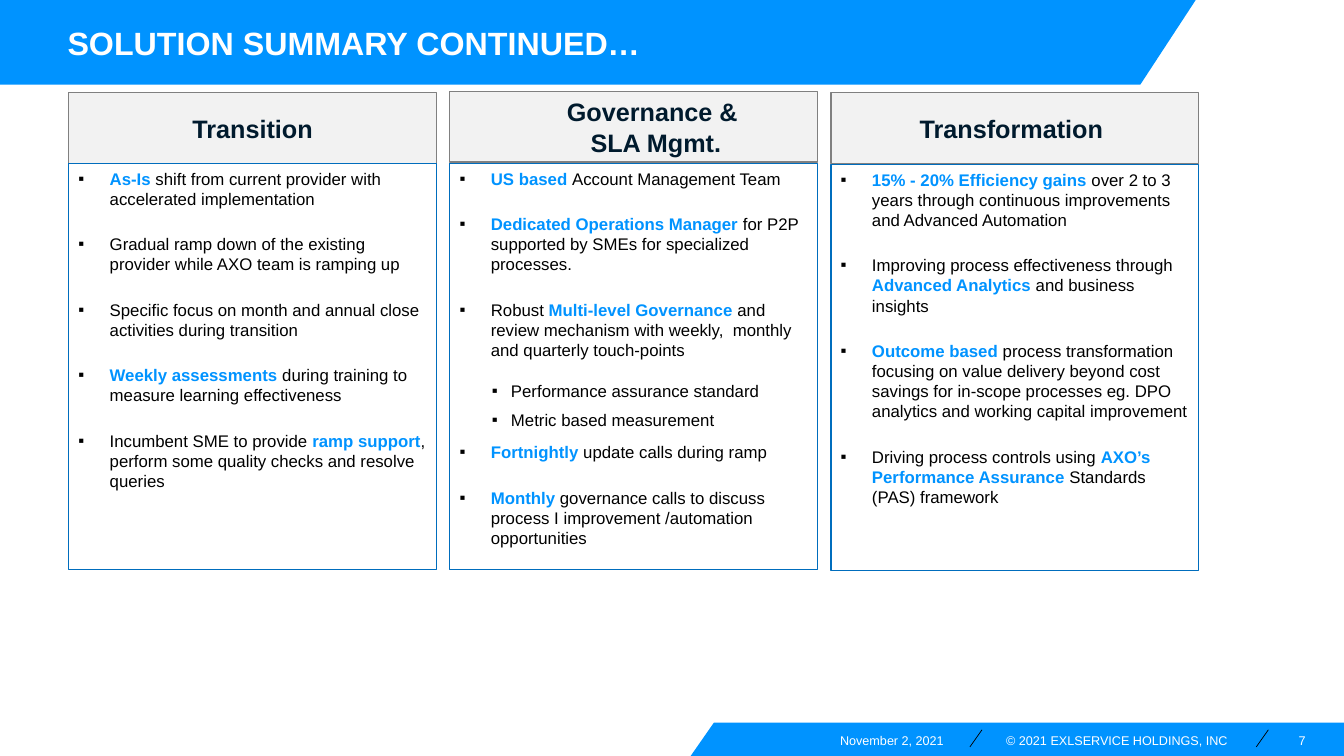
from lxml.etree import SubElement
from pptx import Presentation
from pptx.dml.color import RGBColor
from pptx.enum.shapes import MSO_CONNECTOR, MSO_SHAPE
from pptx.enum.text import MSO_ANCHOR, PP_ALIGN
from pptx.oxml.ns import qn
from pptx.util import Inches, Pt

BLUE = RGBColor(0x00, 0x93, 0xFF)
EDGE_BLUE = RGBColor(0x00, 0x6D, 0xBD)
NAVY = RGBColor(0x00, 0x1A, 0x2D)
GRAY = RGBColor(0x80, 0x80, 0x80)
PALE = RGBColor(0xF2, 0xF2, 0xF2)
WHITE = RGBColor(0xFF, 0xFF, 0xFF)
BLACK = RGBColor(0, 0, 0)

WIDTH, HEIGHT = 13.33, 7.5
TITLE = "SOLUTION SUMMARY CONTINUED…"
TITLE_BAND = [(0, 0), (11.86, 0), (11.31, 0.84), (0, 0.84)]
FOOTER_BAND = [(7.08, 7.17), (WIDTH, 7.17), (WIDTH, HEIGHT), (6.85, HEIGHT)]
FOOTERS = [
    ("November 2, 2021", 7.09, 2.27, PP_ALIGN.RIGHT),
    ("7", 12.58, 0.37, PP_ALIGN.RIGHT),
    ("© 2021 EXLSERVICE HOLDINGS, INC", 9.98, 2.27, PP_ALIGN.LEFT),
]
SLASHES = [9.62, 12.46]

# Text between asterisks is emphasised; a leading ">" marks a second-level bullet.
COLUMNS = [
    (["Transition"], 0.92, 1.62, [
        "*As-Is *shift from current provider with accelerated implementation",
        "Gradual ramp down of the existing provider while AXO team is ramping up",
        "Specific focus on month and annual close activities during transition",
        "*Weekly assessments *during training to measure learning effectiveness",
        "Incumbent SME to provide *ramp support*, perform some quality checks and resolve queries",
    ]),
    (["Governance & ", "SLA Mgmt."], 0.91, 1.62, [
        "*US based *Account Management Team",
        "*Dedicated Operations Manager *for P2P supported by SMEs for specialized processes.",
        "Robust *Multi-level Governance *and review mechanism with weekly,  monthly and quarterly touch-points",
        ">Performance assurance standard",
        ">Metric based measurement",
        "*Fortnightly *update calls during ramp",
        "*Monthly *governance calls to discuss process I improvement /automation opportunities",
    ]),
    (["Transformation "], 0.92, 1.63, [
        "*15% - 20% Efficiency gains *over 2 to 3 years through continuous improvements and Advanced Automation",
        "Improving process effectiveness through *Advanced Analytics *and business insights",
        "*Outcome based *process transformation focusing on value delivery beyond cost savings "
        "for in-scope processes eg. DPO analytics and working capital improvement",
        "Driving process controls using *AXO’s Performance Assurance *Standards (PAS) framework",
    ]),
]
COLUMN_LEFT, COLUMN_PITCH, COLUMN_WIDTH = 0.68, 3.78, 3.65
HEADER_HEIGHT, BODY_HEIGHT = 0.7, 4.03


def add_span(para, text, size, color, bold=False):
    span = para.add_run()
    span.text = text
    span.font.name = "Arial"
    span.font.size = Pt(size)
    span.font.bold = bold
    span.font.color.rgb = color


def set_indent(para, left, first):
    properties = para._p.get_or_add_pPr()
    properties.set("marL", str(Inches(left)))
    properties.set("indent", str(Inches(first)))
    return properties


def add_bullet(para, left, first):
    properties = set_indent(para, left, first)
    color = SubElement(properties, qn("a:buClr"))
    SubElement(color, qn("a:srgbClr")).set("val", str(BLACK))
    SubElement(properties, qn("a:buFont")).set("typeface", "Arial")
    SubElement(properties, qn("a:buChar")).set("char", "▪")


def next_para(frame, index):
    return frame.add_paragraph() if index else frame.paragraphs[0]


def add_band(page, points):
    corners = [(Inches(x), Inches(y)) for x, y in points]
    builder = page.shapes.build_freeform(*corners[0])
    builder.add_line_segments(corners[1:], close=True)
    band = builder.convert_to_shape()
    band.shadow.inherit = False
    band.fill.solid()
    band.fill.fore_color.rgb = BLUE
    band.line.fill.background()


def add_slash(page, left):
    slash = page.shapes.add_connector(
        MSO_CONNECTOR.STRAIGHT, Inches(left + 0.12), Inches(7.24), Inches(left), Inches(7.41))
    slash.line.color.rgb = BLACK
    slash.line.width = Pt(0.5)
    SubElement(slash._element.spPr, qn("a:effectLst"))


def add_label(page, text, left, top, width, height, size, align=PP_ALIGN.LEFT, bold=False):
    box = page.shapes.add_textbox(Inches(left), Inches(top), Inches(width), Inches(height))
    frame = box.text_frame
    frame.word_wrap = True
    frame.vertical_anchor = MSO_ANCHOR.MIDDLE
    frame.margin_left = frame.margin_right = frame.margin_top = frame.margin_bottom = 0
    frame.paragraphs[0].alignment = align
    add_span(frame.paragraphs[0], text, size, WHITE, bold)


def add_panel(page, left, top, height, edge, anchor):
    panel = page.shapes.add_shape(
        MSO_SHAPE.RECTANGLE, Inches(left), Inches(top), Inches(COLUMN_WIDTH), Inches(height))
    panel.shadow.inherit = False
    panel.fill.background()
    panel.line.color.rgb = edge
    panel.line.width = Pt(1)
    panel.text_frame.word_wrap = True
    panel.text_frame.vertical_anchor = anchor
    return panel


def add_header(page, lines, left, top):
    header = add_panel(page, left, top, HEADER_HEIGHT, GRAY, MSO_ANCHOR.MIDDLE)
    header.fill.solid()
    header.fill.fore_color.rgb = PALE
    for index, line in enumerate(lines):
        para = next_para(header.text_frame, index)
        para.alignment = PP_ALIGN.CENTER
        if len(lines) > 1:
            set_indent(para, 0.5, -0.06)
        add_span(para, line, 18, NAVY, True)


def add_body(page, bullets, left, top):
    body = add_panel(page, left, top, BODY_HEIGHT, EDGE_BLUE, MSO_ANCHOR.TOP)
    for index, text in enumerate(bullets):
        nested = text.startswith(">")
        para = next_para(body.text_frame, index)
        para.alignment = PP_ALIGN.LEFT
        if index:
            para.space_before = Pt(3 if nested else 6)
        para.space_after = Pt(3 if nested else 12)
        add_bullet(para, *((0.51, -0.19) if nested else (0.31, -0.31)))
        for part, piece in enumerate(text.lstrip(">").split("*")):
            if piece:
                strong = part % 2 == 1
                add_span(para, piece, 12, BLUE if strong else BLACK, strong)


def main():
    deck = Presentation()
    deck.slide_width, deck.slide_height = Inches(WIDTH), Inches(HEIGHT)
    page = deck.slides.add_slide(deck.slide_layouts[6])
    add_band(page, FOOTER_BAND)
    for left in SLASHES:
        add_slash(page, left)
    add_band(page, TITLE_BAND)
    for text, left, width, align in FOOTERS:
        add_label(page, text, left, 7.27, width, 0.15, 9, align)
    add_label(page, TITLE, 0.67, 0.1, 10.53, 0.64, 23, bold=True)
    for index, (heading, header_top, body_top, bullets) in enumerate(COLUMNS):
        left = COLUMN_LEFT + index * COLUMN_PITCH
        add_header(page, heading, left, header_top)
        add_body(page, bullets, left, body_top)
    deck.save("out.pptx")


if __name__ == "__main__":
    main()
